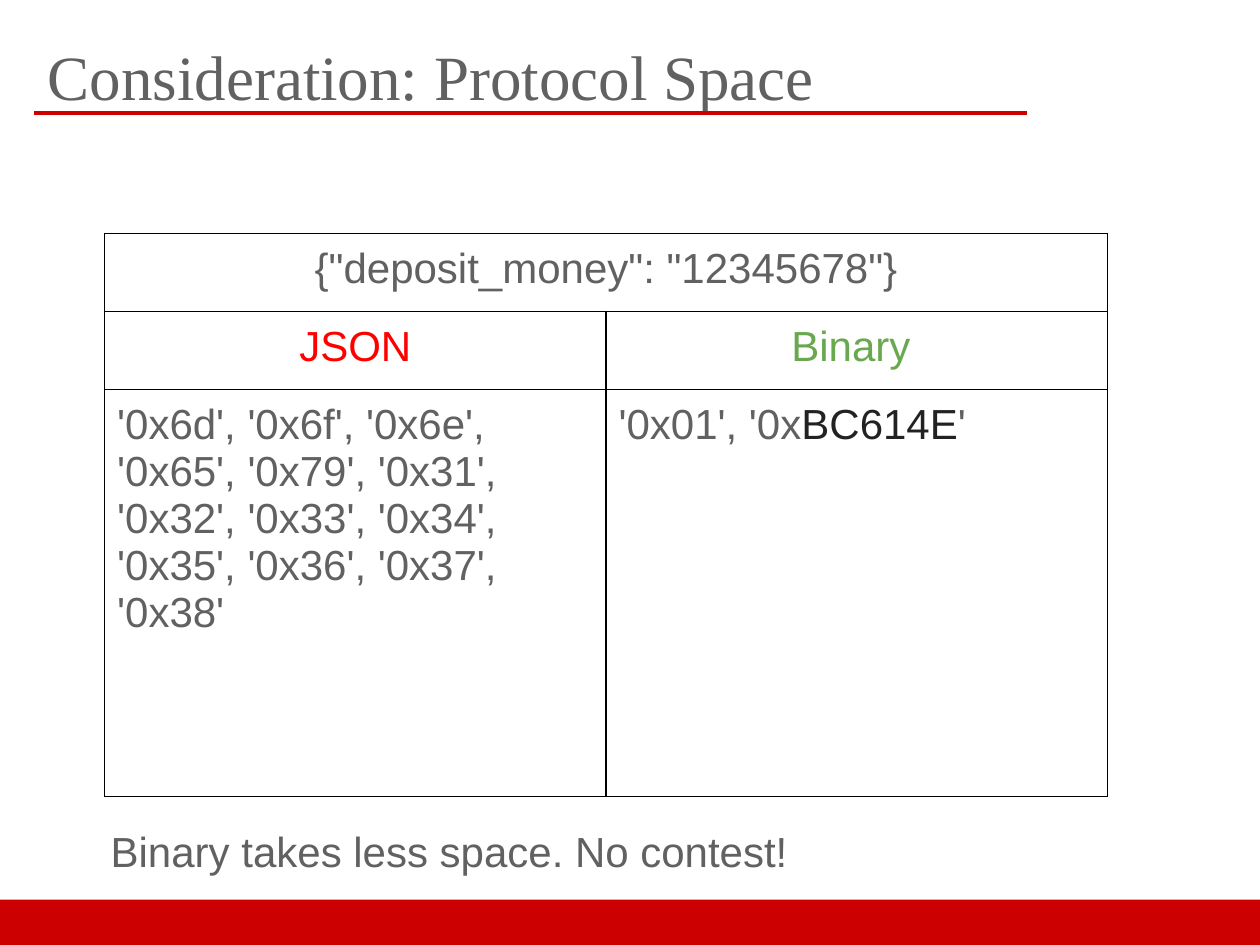
import pptx
import pptx.dml.color
import pptx.enum.shapes
import pptx.enum.text
import pptx.oxml
import pptx.oxml.ns
import pptx.util

Inches = pptx.util.Inches
Pt = pptx.util.Pt
ALIGN = pptx.enum.text.PP_ALIGN
ANCHOR = pptx.enum.text.MSO_ANCHOR


def color(value):
    return pptx.dml.color.RGBColor.from_string(value)


class SlideBuilder:
    body_font = "Arial"
    title_font = "Times New Roman"
    text_color = "616161"
    accent = "CC0000"
    border = "000000"
    inset = Inches(0.1)

    def __init__(self, slide):
        self.slide = slide

    def add_runs(self, paragraph, runs, size=24, font=None, align=ALIGN.LEFT):
        paragraph.alignment = align
        for text, fill in runs:
            run = paragraph.add_run()
            run.text = text
            run.font.size = Pt(size)
            run.font.name = font or self.body_font
            run.font.color.rgb = color(fill or self.text_color)

    def pad(self, holder):
        holder.margin_left = holder.margin_right = self.inset
        holder.margin_top = holder.margin_bottom = self.inset

    def title(self, text, left, top, width, height):
        heading = self.slide.shapes.title
        heading.left, heading.top = Inches(left), Inches(top)
        heading.width, heading.height = Inches(width), Inches(height)
        frame = heading.text_frame
        frame.word_wrap = True
        frame.auto_size = pptx.enum.text.MSO_AUTO_SIZE.NONE
        frame.vertical_anchor = ANCHOR.BOTTOM
        self.pad(frame)
        paragraph = frame.paragraphs[0]
        paragraph.line_spacing = Pt(55.8)
        paragraph.space_before = Pt(0)
        paragraph.space_after = Pt(11.8)
        properties = paragraph._p.get_or_add_pPr()
        properties.set("marL", str(Inches(0.02)))
        properties.set("indent", str(Inches(-0.02)))
        self.add_runs(paragraph, [(text, None)], 36, self.title_font)

    def band(self, left, top, width, height):
        footer = self.slide.shapes.add_shape(
            pptx.enum.shapes.MSO_SHAPE.RECTANGLE,
            Inches(left), Inches(top), Inches(width), Inches(height))
        footer.shadow.inherit = False
        footer.fill.solid()
        footer.fill.fore_color.rgb = color(self.accent)
        footer.line.fill.background()

    def rule(self, left, right, height):
        underline = self.slide.shapes.add_connector(
            pptx.enum.shapes.MSO_CONNECTOR.STRAIGHT,
            Inches(left), Inches(height), Inches(right), Inches(height))
        underline.line.color.rgb = color(self.accent)
        underline.line.width = Pt(2.25)
        underline._element.spPr.append(
            pptx.oxml.parse_xml(f'<a:effectLst {pptx.oxml.ns.nsdecls("a")}/>'))

    def caption(self, text, left, top, width, height):
        conclusion = self.slide.shapes.add_textbox(
            Inches(left), Inches(top), Inches(width), Inches(height))
        frame = conclusion.text_frame
        frame.word_wrap = True
        self.pad(frame)
        self.add_runs(frame.paragraphs[0], [(text, None)])

    def outline(self, cell):
        properties = cell._tc.get_or_add_tcPr()
        for index, side in enumerate(("lnL", "lnR", "lnT", "lnB")):
            properties.insert(index, pptx.oxml.parse_xml(
                f'<a:{side} {pptx.oxml.ns.nsdecls("a")} w="{Pt(0.75)}">'
                f'<a:solidFill><a:srgbClr val="{self.border}"/></a:solidFill>'
                f'</a:{side}>'))

    def table(self, rows, left, top, widths, heights):
        comparison = self.slide.shapes.add_table(
            len(heights), len(widths), Inches(left), Inches(top),
            Inches(sum(widths)), Inches(sum(heights))).table
        comparison.first_row = comparison.horz_banding = False
        for column, width in zip(comparison.columns, widths):
            column.width = Inches(width)
        for row, height in zip(comparison.rows, heights):
            row.height = Inches(height)
        for cell in comparison.iter_cells():
            self.pad(cell)
            cell.fill.background()
            self.outline(cell)
        for row_index, (align, contents) in enumerate(rows):
            if len(contents) < len(widths):
                comparison.cell(row_index, 0).merge(
                    comparison.cell(row_index, len(widths) - 1))
            for column_index, runs in enumerate(contents):
                cell = comparison.cell(row_index, column_index)
                self.add_runs(cell.text_frame.paragraphs[0], runs, align=align)


def main():
    deck = pptx.Presentation()
    deck.slide_width, deck.slide_height = Inches(10), Inches(7.5)
    builder = SlideBuilder(deck.slides.add_slide(deck.slide_layouts[5]))

    json_bytes = ", ".join(
        f"'0x{code}'" for code in
        "6d 6f 6e 65 79 31 32 33 34 35 36 37 38".split())
    encodings = [
        (ALIGN.CENTER, [[('{"deposit_money": "12345678"}', None)]]),
        (ALIGN.CENTER, [[("JSON", "FF0000")], [("Binary ", "6AA84F")]]),
        (ALIGN.LEFT, [
            [(json_bytes, None)],
            [("'0x01', '0x", None), ("BC614E", "222222"), ("'", None)],
        ]),
    ]

    builder.band(0, 7.14, 10, 0.36)
    builder.rule(0.27, 8.15, 0.9)
    builder.table(encodings, 0.83, 1.85, [3.98, 3.98], [0.62, 0.62, 3.23])
    builder.caption("Binary takes less space. No contest!", 0.78, 6.45, 7.45, 0.61)
    builder.title("Consideration: Protocol Space", 0.28, 0.32, 8.6, 0.68)
    deck.save("out.pptx")


if __name__ == "__main__":
    main()
